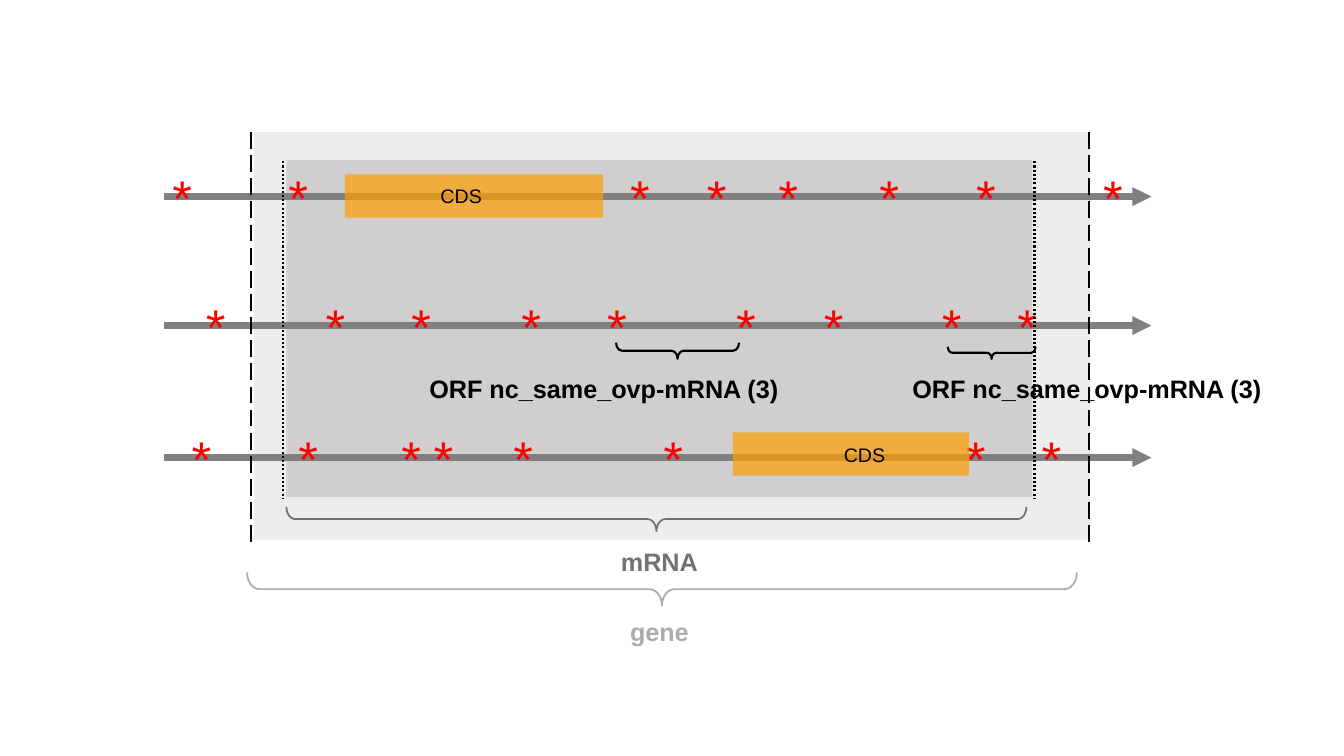
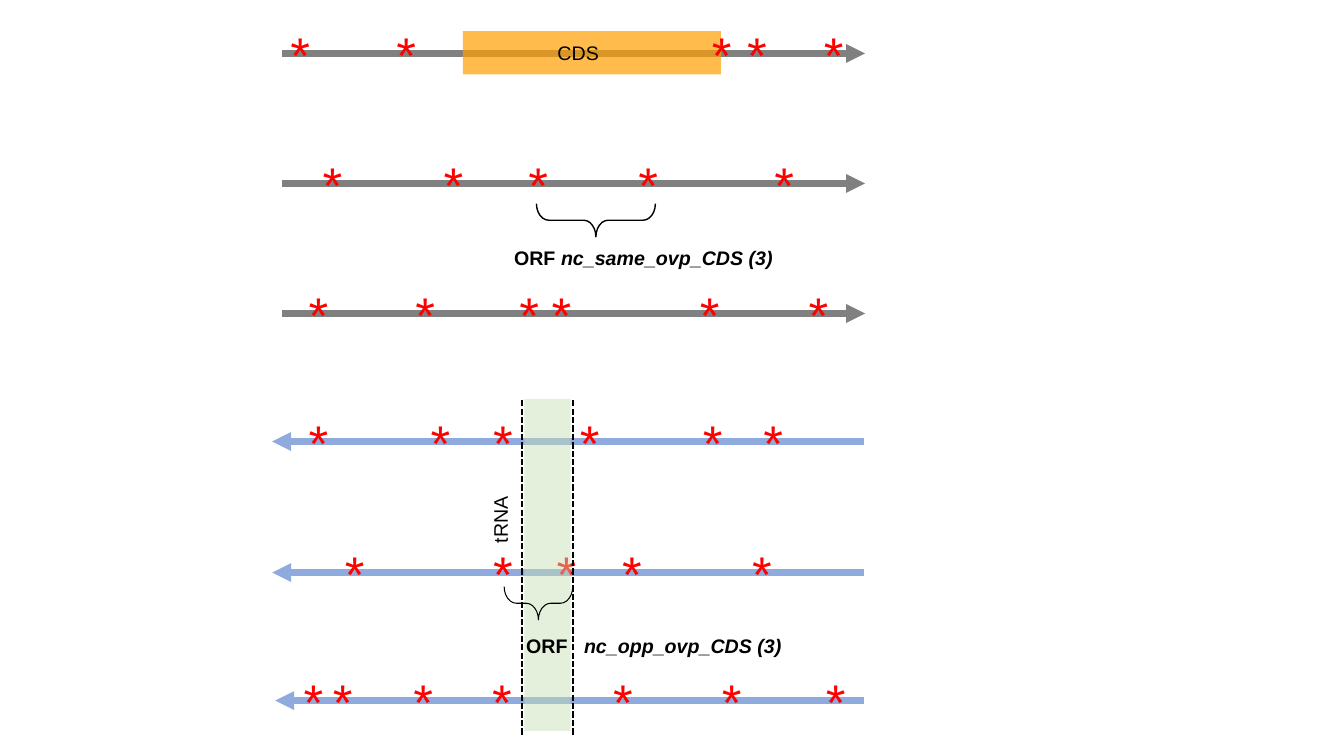
from collections import namedtuple

from lxml.etree import SubElement
from pptx import Presentation
from pptx.dml.color import RGBColor
from pptx.enum.dml import MSO_LINE
from pptx.enum.shapes import MSO_CONNECTOR, MSO_SHAPE
from pptx.enum.text import MSO_AUTO_SIZE
from pptx.oxml.ns import qn
from pptx.util import Inches, Pt

BLACK = RGBColor(0x00, 0x00, 0x00)
STOP_RED = RGBColor(0xFF, 0x00, 0x00)
CDS_ORANGE = RGBColor(0xFF, 0xA0, 0x00)
FORWARD_GRAY = RGBColor(0x80, 0x80, 0x80)
REVERSE_BLUE = RGBColor(0x8F, 0xAA, 0xDC)
GENE_GRAY = RGBColor(0xD9, 0xD9, 0xD9)
GENE_TEXT = RGBColor(0xAF, 0xAB, 0xAB)
MRNA_TEXT = RGBColor(0x76, 0x71, 0x71)
TRNA_GREEN = RGBColor(0xC5, 0xE0, 0xB4)

SMALL = {"name": "Arial", "size": Pt(14)}
SMALL_BOLD = {**SMALL, "bold": True}
SMALL_BOLD_ITALIC = {**SMALL_BOLD, "italic": True}
LARGE_BOLD = {"name": "Arial", "size": Pt(18), "bold": True}
STOP = {"name": "Courier New", "size": Pt(36)}

STOP_LIFT = 0.33

Box = namedtuple("Box", "left top width height")


def inches(box):
    """Turn a box of numbers into lengths."""
    return [Inches(value) for value in box]


def label(slide, box, runs, color=BLACK, rotation=0):
    """Write one line of text made of (text, format) runs."""
    words = slide.shapes.add_textbox(*inches(box))
    words.rotation = rotation
    frame = words.text_frame
    frame.word_wrap = False
    frame.auto_size = MSO_AUTO_SIZE.SHAPE_TO_FIT_TEXT
    for text, style in runs:
        run = frame.paragraphs[0].add_run()
        run.text = text
        run.font.color.rgb = color
        for key, value in style.items():
            setattr(run.font, key, value)
    return words


def line(slide, start, end, color, width, dash=None, arrow=False):
    """Draw a straight line, dashed or with an arrowhead at its end."""
    stroke = slide.shapes.add_connector(
        MSO_CONNECTOR.STRAIGHT, *inches(start + end))
    style = {"width": Pt(width), "dash_style": dash}
    for key, value in style.items():
        setattr(stroke.line, key, value)
    stroke.line.color.rgb = color
    if arrow:
        SubElement(stroke.line._get_or_add_ln(), qn("a:tailEnd"), type="triangle")
    SubElement(stroke._element.spPr, qn("a:effectLst"))


def band(slide, box, color, opacity):
    """Fill a borderless, translucent rectangle."""
    area = slide.shapes.add_shape(MSO_SHAPE.RECTANGLE, *inches(box))
    area.shadow.inherit = False
    area.line.fill.background()
    area.fill.solid()
    area.fill.fore_color.rgb = color
    srgb = area._element.spPr.find(".//" + qn("a:srgbClr"))
    SubElement(srgb, qn("a:alpha"), val=str(opacity * 1000))


def edges(slide, box, dash):
    """Mark the left and right sides of a box with dashed lines."""
    for x in (box.left, box.left + box.width):
        line(slide, (x, box.top), (x, box.top + box.height), BLACK, 1.5, dash)


def brace(slide, box, color, width):
    """Draw a brace that opens upwards and fills the box."""
    left = box.left + (box.width - box.height) / 2
    top = box.top + (box.height - box.width) / 2
    curve = slide.shapes.add_shape(
        MSO_SHAPE.RIGHT_BRACE, *inches((left, top, box.height, box.width)))
    curve.rotation = 90
    curve.adjustments[0] = 0.369
    curve.shadow.inherit = False
    curve.fill.background()
    curve.line.color.rgb = color
    curve.line.width = Pt(width)


def cds(slide, box, label_offset):
    """Draw a coding sequence with its name inside."""
    band(slide, box, CDS_ORANGE, 70)
    label(slide, Box(box.left + label_offset, box.top + 0.05, 0.62, 0.34),
          [("CDS", SMALL)])


def strand(slide, left, y, length, stops, reverse=False, coding=None):
    """Draw one reading frame with stop codons at offsets from its left."""
    ends = [(left, y), (left + length, y)]
    color = FORWARD_GRAY
    if reverse:
        ends.reverse()
        color = REVERSE_BLUE
    line(slide, *ends, color, 4.5, arrow=True)
    if coding:
        cds(slide, *coding)
    for offset in stops:
        label(slide, Box(left + offset, y - STOP_LIFT, 0.51, 0.71),
              [("*", STOP)], STOP_RED)


def mrna_slide(slide):
    """Show ORFs that overlap an mRNA outside its coding sequence."""
    band(slide, Box(2.52, 1.31, 8.29, 4.05), GENE_GRAY, 46)
    band(slide, Box(2.84, 1.59, 7.4, 3.34), GENE_TEXT, 46)
    frames = [
        (1.95, (-0.07, 1.08, 4.47, 5.23, 5.94, 6.94, 7.9, 9.16),
         (Box(3.42, 1.73, 2.56, 0.43), 0.85)),
        (3.23, (0.26, 1.45, 2.3, 3.39, 4.24, 5.52, 6.39, 7.56, 8.31), None),
        (4.54, (0.12, 1.18, 2.2, 2.52, 3.31, 4.8, 7.8, 8.55), None),
    ]
    for y, stops, coding in frames:
        strand(slide, 1.63, y, 9.79, stops, coding=coding)
    cds(slide, Box(7.27, 4.29, 2.34, 0.43), 1)
    edges(slide, Box(2.49, 1.31, 8.31, 4.1), MSO_LINE.LONG_DASH)
    edges(slide, Box(2.81, 1.6, 7.45, 3.34), MSO_LINE.ROUND_DOT)

    brace(slide, Box(2.84, 5.03, 7.34, 0.24), MRNA_TEXT, 1.25)
    label(slide, Box(6.06, 5.37, 0.97, 0.4), [("mRNA", LARGE_BOLD)], MRNA_TEXT)
    brace(slide, Box(2.45, 5.68, 8.23, 0.33), GENE_TEXT, 1.25)
    label(slide, Box(6.15, 6.07, 0.79, 0.4), [("gene", LARGE_BOLD)], GENE_TEXT)

    orfs = [(Box(6.11, 3.4, 1.22, 0.16), 4.16),
            (Box(9.4, 3.44, 0.87, 0.12), 8.95)]
    for extent, name_left in orfs:
        brace(slide, extent, BLACK, 1.5)
        label(slide, Box(name_left, 3.65, 3.75, 0.4),
              [("ORF nc_same_ovp-mRNA (3)", LARGE_BOLD)])


def forward_strands(slide, left, top):
    """Draw the forward frames and the ORF overlapping the CDS."""
    frames = [
        ((-0.07, 0.98, 4.11, 4.46, 5.22),
         (Box(left + 1.79, top - 0.22, 2.56, 0.43), 0.84)),
        ((0.25, 1.45, 2.29, 3.38, 4.73), None),
        ((0.11, 1.17, 2.2, 2.52, 3.99, 5.07), None),
    ]
    for row, (stops, coding) in enumerate(frames):
        strand(slide, left, top + row * 1.29, 5.78, stops, coding=coding)
    brace(slide, Box(left + 2.52, top + 1.49, 1.18, 0.33), BLACK, 1)
    label(slide, Box(left + 2.2, top + 1.86, 2.78, 0.34),
          [("ORF ", SMALL_BOLD), ("nc_same_ovp_CDS (3)", SMALL_BOLD_ITALIC)])


def reverse_strands(slide, right):
    """Draw the reverse frames and the ORF overlapping the tRNA."""
    frames = [
        (2.7, 4.38, (0.21, 1.42, 2.04, 2.9, 4.12, 4.72)),
        (2.7, 5.68, (0.57, 2.04, 2.67, 3.32, 4.61)),
        (2.73, 6.95, (0.13, 0.42, 1.22, 2, 3.2, 4.28, 5.31)),
    ]
    for left, y, stops in frames:
        strand(slide, left, y, right - left, stops, reverse=True)
    edges(slide, Box(5.18, 3.97, 0.5, 3.33), MSO_LINE.SQUARE_DOT)
    label(slide, Box(4.63, 4.98, 0.67, 0.34), [("tRNA", SMALL)], rotation=270)
    band(slide, Box(5.2, 3.96, 0.46, 3.29), TRNA_GREEN, 46)
    brace(slide, Box(5, 5.82, 0.68, 0.33), BLACK, 0.75)
    orf = label(slide, Box(5.12, 6.24, 2.75, 0.34),
                [("ORF", SMALL_BOLD), (" ", SMALL_BOLD),
                 ("nc_opp_ovp_CDS (3)", SMALL_BOLD_ITALIC)])
    gap = orf.text_frame.paragraphs[0].runs[1]
    gap.font._element.set("spc", "780")


def cds_slide(slide):
    """Show ORFs that overlap a CDS on the same strand or a tRNA opposite."""
    forward_strands(slide, 2.8, 0.53)
    reverse_strands(slide, 8.57)


def main():
    """Build and save both slides."""
    deck = Presentation()
    deck.slide_width, deck.slide_height = Inches(13.33), Inches(7.5)
    for build in (mrna_slide, cds_slide):
        build(deck.slides.add_slide(deck.slide_layouts[6]))
    deck.save("out.pptx")


main()
